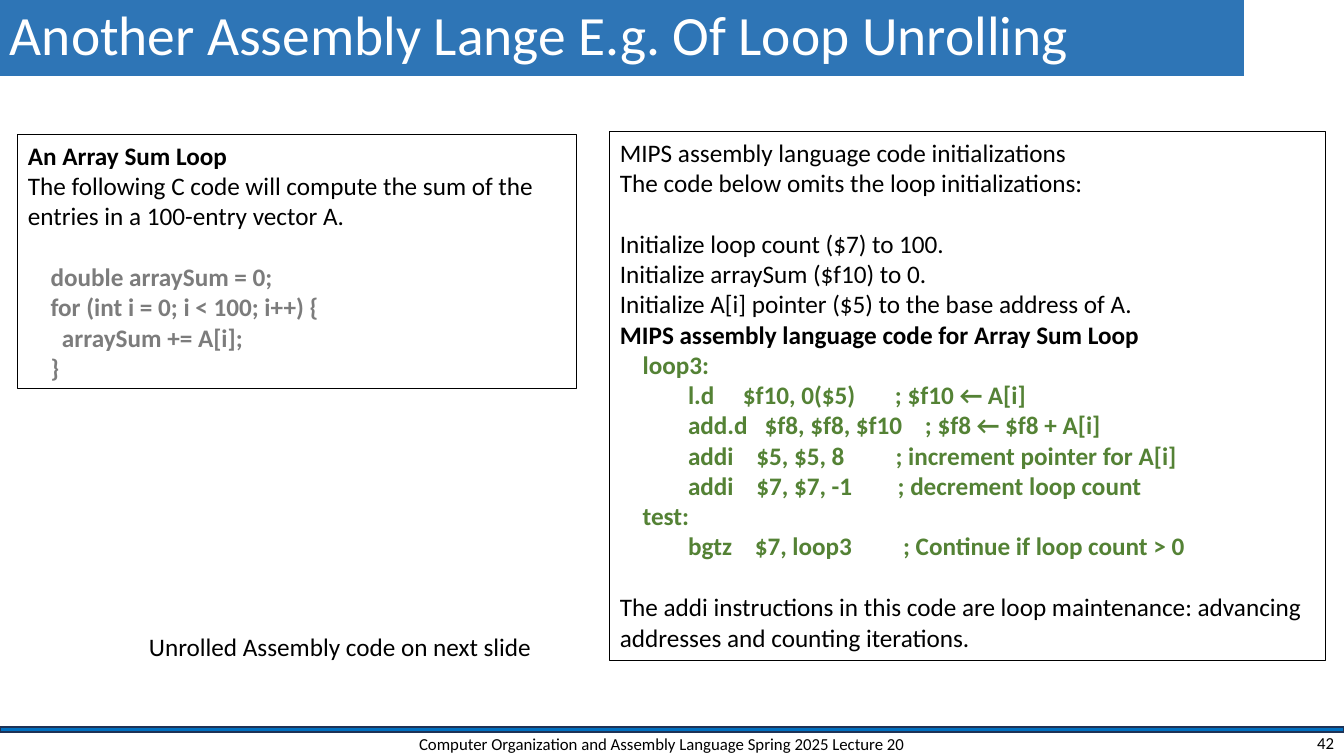
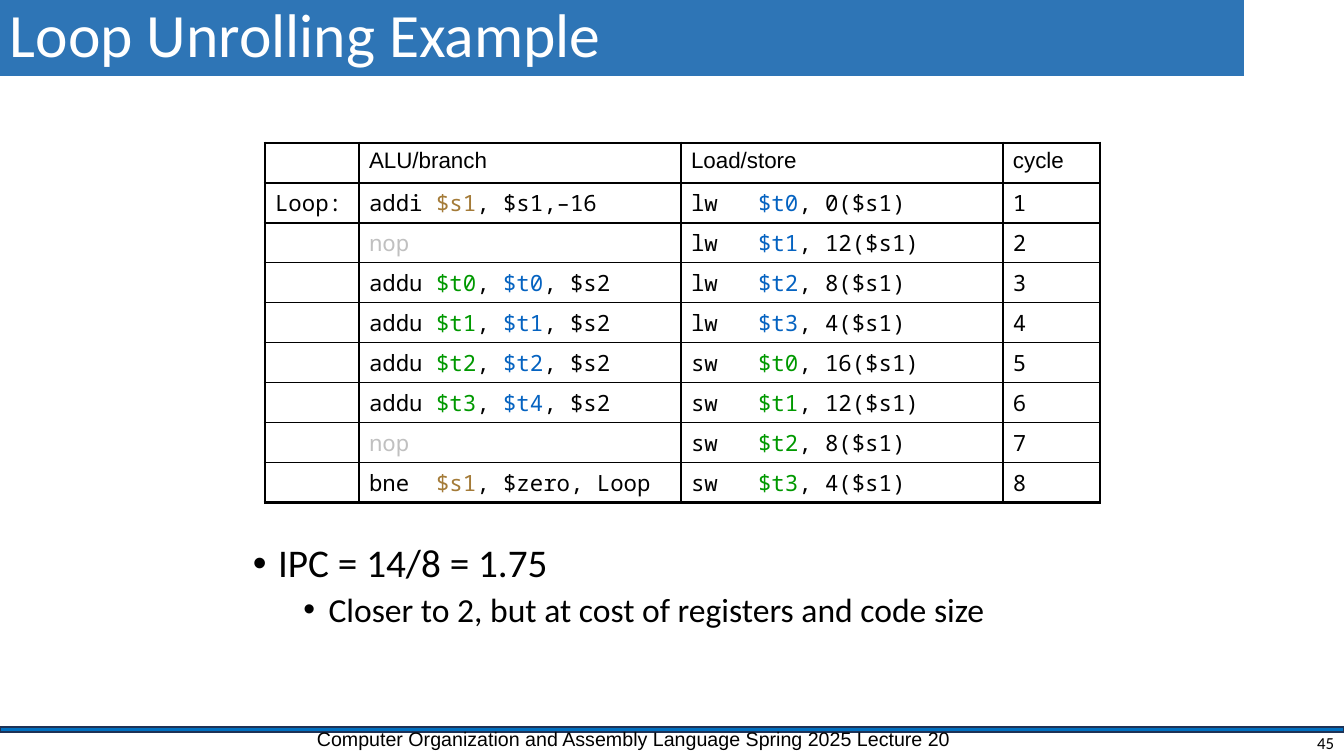
from lxml import etree
from pptx import Presentation
from pptx import util as u
from pptx.dml import color
from pptx.enum import shapes, text
from pptx.oxml import ns

BLACK, WHITE, TITLE_BLUE = "000000", "FFFFFF", "2E75B6"
BAR_BLUE, BAR_EDGE = "0070C0", "1E3256"
C_GREY, MIPS_GREEN = "7C7C7C", "548235"
POINTER, LOADED, RESULT, IDLE = "A47B38", "0563C1", "009900", "C0C0C0"
SANS, ARIAL, MONO = "Calibri", "Arial", "Noto Sans Mono"
COURSE = "Computer Organization and Assembly Language Spring 2025 Lecture 20"
BLANK_LINE = 22
TOP, MIDDLE = text.MSO_ANCHOR.TOP, text.MSO_ANCHOR.MIDDLE
LEFT, CENTER, RIGHT = text.PP_ALIGN.LEFT, text.PP_ALIGN.CENTER, text.PP_ALIGN.RIGHT

ARRAY_SUM = [
    ("An Array Sum Loop", BLACK, True, 0),
    ("The following C code will compute the sum of the entries in a 100-entry vector A.",
     BLACK, False, 0),
    ("    double arraySum = 0;", C_GREY, True, BLANK_LINE),
    ("    for (int i = 0; i < 100; i++) {", C_GREY, True, 0),
    ("      arraySum += A[i];", C_GREY, True, 0),
    ("    }", C_GREY, True, 0),
]
MIPS_CODE = [
    "    loop3:",
    "            l.d     $f10, 0($5)       ; $f10 ← A[i]",
    "            add.d   $f8, $f8, $f10    ; $f8 ← $f8 + A[i]",
    "            addi    $5, $5, 8         ; increment pointer for A[i]",
    "            addi    $7, $7, -1        ; decrement loop count",
    "    test:",
    "            bgtz    $7, loop3         ; Continue if loop count > 0",
]
MIPS_NOTES = [
    ("MIPS assembly language code initializations", BLACK, False, 0),
    ("The code below omits the loop initializations:", BLACK, False, 0),
    ("Initialize loop count ($7) to 100.", BLACK, False, BLANK_LINE),
    ("Initialize arraySum ($f10) to 0.", BLACK, False, 0),
    ("Initialize A[i] pointer ($5) to the base address of A.", BLACK, False, 0),
    ("MIPS assembly language code for Array Sum Loop", BLACK, True, 0),
    *[(line, MIPS_GREEN, True, 0) for line in MIPS_CODE],
    ("The addi instructions in this code are loop maintenance: "
     "advancing addresses and counting iterations.", BLACK, False, BLANK_LINE),
]
HEADINGS = ["", "ALU/branch", "Load/store", "cycle"]
SCHEDULE = [
    ("addi |$s1|, $s1,–16", "lw   |$t0|, 0($s1)"),
    ("|nop|", "lw   |$t1|, 12($s1)"),
    ("addu |$t0|, |$t0|, $s2", "lw   |$t2|, 8($s1)"),
    ("addu |$t1|, |$t1|, $s2", "lw   |$t3|, 4($s1)"),
    ("addu |$t2|, |$t2|, $s2", "sw   |$t0|, 16($s1)"),
    ("addu |$t3|, |$t4|, $s2", "sw   |$t1|, 12($s1)"),
    ("|nop|", "sw   |$t2|, 8($s1)"),
    ("bne  |$s1|, $zero, Loop", "sw   |$t3|, 4($s1)"),
]
MARK_COLOURS = {"addi": [POINTER], "bne": [POINTER], "addu": [RESULT, LOADED],
                "lw": [LOADED], "sw": [RESULT], "nop": [IDLE]}


def px(length):
    """Turn px into EMU."""
    return u.Emu(round(length * 914400 / 100.8))


def rgb(code):
    """Turn a hex string into a colour."""
    return color.RGBColor.from_string(code)


def style(run, size, face=SANS, ink=BLACK, bold=False):
    """Set the font of a run."""
    font = run.font
    font.size, font.name, font.bold = u.Pt(size), face, bold
    font.color.rgb = rgb(ink)


def add_band(slide, box, fill, edge=None):
    """Add a filled rectangle."""
    band = slide.shapes.add_shape(shapes.MSO_SHAPE.RECTANGLE, *map(px, box))
    band.shadow.inherit = False
    band.fill.solid()
    band.fill.fore_color.rgb = rgb(fill)
    if edge:
        band.line.color.rgb = rgb(edge)
        band.line.width = u.Pt(1)
    else:
        band.line.fill.background()
    return band


def write_line(frame, words, size, face=SANS, ink=BLACK, align=LEFT, anchor=TOP):
    """Write one styled paragraph into a text frame."""
    frame.word_wrap = True
    frame.vertical_anchor = anchor
    line = frame.paragraphs[0]
    line.text, line.alignment = words, align
    style(line.runs[0], size, face, ink)
    return line


def add_label(slide, box, words, size, **look):
    """Add a one-line text box."""
    label = slide.shapes.add_textbox(*map(px, box))
    write_line(label.text_frame, words, size, **look)


def add_frame(slide, title, title_size, number):
    """Add a slide with its title band, footer bar and page number."""
    slide = slide_deck_add(slide)
    add_band(slide, (0, 727, 1344, 5), BAR_BLUE, BAR_EDGE)
    band = add_band(slide, (0, 0, 1244, 76), TITLE_BLUE)
    heading = write_line(band.text_frame, title, title_size, ink=WHITE, anchor=MIDDLE)
    heading.line_spacing = 0.9
    add_label(slide, (1041, 730, 303, 25), number, 12, align=RIGHT, anchor=MIDDLE)
    return slide


def slide_deck_add(deck):
    """Add a blank slide to the deck."""
    return deck.slides.add_slide(deck.slide_layouts[6])


def add_listing(slide, box, lines):
    """Add an outlined box of prose and code lines."""
    listing = slide.shapes.add_textbox(*map(px, box))
    listing.line.color.rgb = rgb(BLACK)
    listing.line.width = u.Pt(0.75)
    frame = listing.text_frame
    frame.word_wrap = True
    for index, (words, ink, bold, gap) in enumerate(lines):
        line = frame.add_paragraph() if index else frame.paragraphs[0]
        line.text = words
        if gap:
            line.space_before = u.Pt(gap)
        style(line.runs[0], 18, ink=ink, bold=bold)


def set_borders(cell, widths):
    """Draw the left, right, top and bottom borders of a cell."""
    properties = cell._tc.get_or_add_tcPr()
    for index, (side, width) in enumerate(zip("LRTB", widths)):
        border = etree.Element(ns.qn("a:ln" + side), w=str(int(u.Pt(width))))
        fill = etree.SubElement(border, ns.qn("a:solidFill"))
        etree.SubElement(fill, ns.qn("a:srgbClr"), val=BLACK)
        properties.insert(index, border)


def fill_cell(cell, words, face):
    """Write cell text, colouring the parts between bars."""
    line = cell.text_frame.paragraphs[0]
    if not words:
        etree.SubElement(line._p, ns.qn("a:endParaRPr"), sz="1600")
        return
    operation = words.strip("|").split()[0]
    inks = iter(MARK_COLOURS.get(operation, []))
    for index, part in enumerate(words.split("|")):
        ink = next(inks) if index % 2 else BLACK
        if part:
            run = line.add_run()
            run.text = part
            style(run, 16, face, ink)


def add_schedule(slide, left, top, widths, row_height):
    """Add the table of instructions issued in each cycle."""
    rows = [HEADINGS]
    for cycle, (branch, memory) in enumerate(SCHEDULE, 1):
        rows.append(["Loop:" if cycle == 1 else "", branch, memory, str(cycle)])
    last_row, last_column = len(rows) - 1, len(widths) - 1
    box = (left, top, sum(widths), row_height * len(rows))
    schedule = slide.shapes.add_table(len(rows), len(widths), *map(px, box)).table
    schedule.first_row = schedule.horz_banding = False
    for column, width in zip(schedule.columns, widths):
        column.width = px(width)
    for r, row in enumerate(rows):
        schedule.rows[r].height = px(row_height)
        for c, words in enumerate(row):
            cell = schedule.cell(r, c)
            cell.fill.background()
            set_borders(cell, (2.25 if c == 0 else 1,
                               2.25 if c == last_column else 1,
                               {0: 2.25, 1: 1.5}.get(r, 1),
                               {0: 1.5, last_row: 2.25}.get(r, 1)))
            fill_cell(cell, words, MONO if r else ARIAL)


def add_bullets(slide, box, points):
    """Add bulleted points, each with its level and size."""
    frame = slide.shapes.add_textbox(*map(px, box)).text_frame
    frame.word_wrap = True
    for index, (words, level, size) in enumerate(points):
        point = frame.add_paragraph() if index else frame.paragraphs[0]
        point.text, point.level, point.line_spacing = words, level, 0.9
        if index:
            point.space_before = u.Pt(5)
        properties = point._p.get_or_add_pPr()
        properties.set("marL", str(int(u.Inches(0.25 + 0.5 * level))))
        properties.set("indent", str(int(u.Inches(-0.25))))
        etree.SubElement(properties, ns.qn("a:buFont"), typeface=ARIAL)
        etree.SubElement(properties, ns.qn("a:buChar"), char="•")
        style(point.runs[0], size)


def build_array_sum(deck):
    """Build the slide with the C loop and its assembly code."""
    slide = add_frame(deck, "Another Assembly Lange E.g. Of Loop Unrolling", 39.6, "42")
    add_label(slide, (395, 730, 534, 28), COURSE, 12, align=CENTER, anchor=MIDDLE)
    add_listing(slide, (18, 135, 559, 254), ARRAY_SUM)
    add_listing(slide, (610, 132, 716, 529), MIPS_NOTES)
    add_label(slide, (139, 626, 407, 40), "Unrolled Assembly code on next slide", 18)


def build_schedule(deck):
    """Build the slide with the unrolled loop schedule."""
    slide = add_frame(deck, "Loop Unrolling Example", 44, "45")
    add_label(slide, (307, 722, 679, 34), COURSE, 14, face=ARIAL)
    add_schedule(slide, 265, 143, (94, 322, 322, 97), 40)
    add_bullets(slide, (243, 539, 912, 148), [
        ("IPC = 14/8 = 1.75", 0, 28),
        ("Closer to 2, but at cost of registers and code size", 1, 24)])


def main():
    """Build and save the deck."""
    deck = Presentation()
    deck.slide_width, deck.slide_height = px(1344), px(756)
    build_array_sum(deck)
    build_schedule(deck)
    deck.save("out.pptx")


if __name__ == "__main__":
    main()
